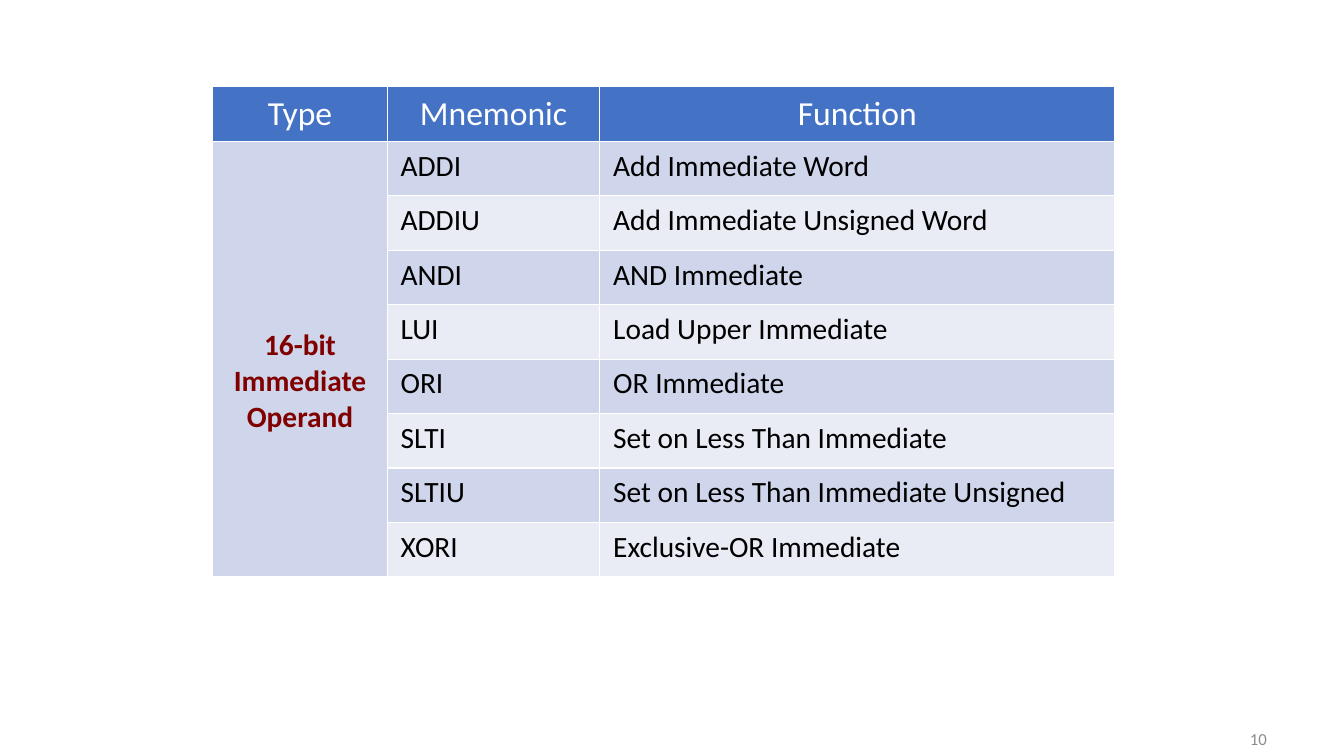
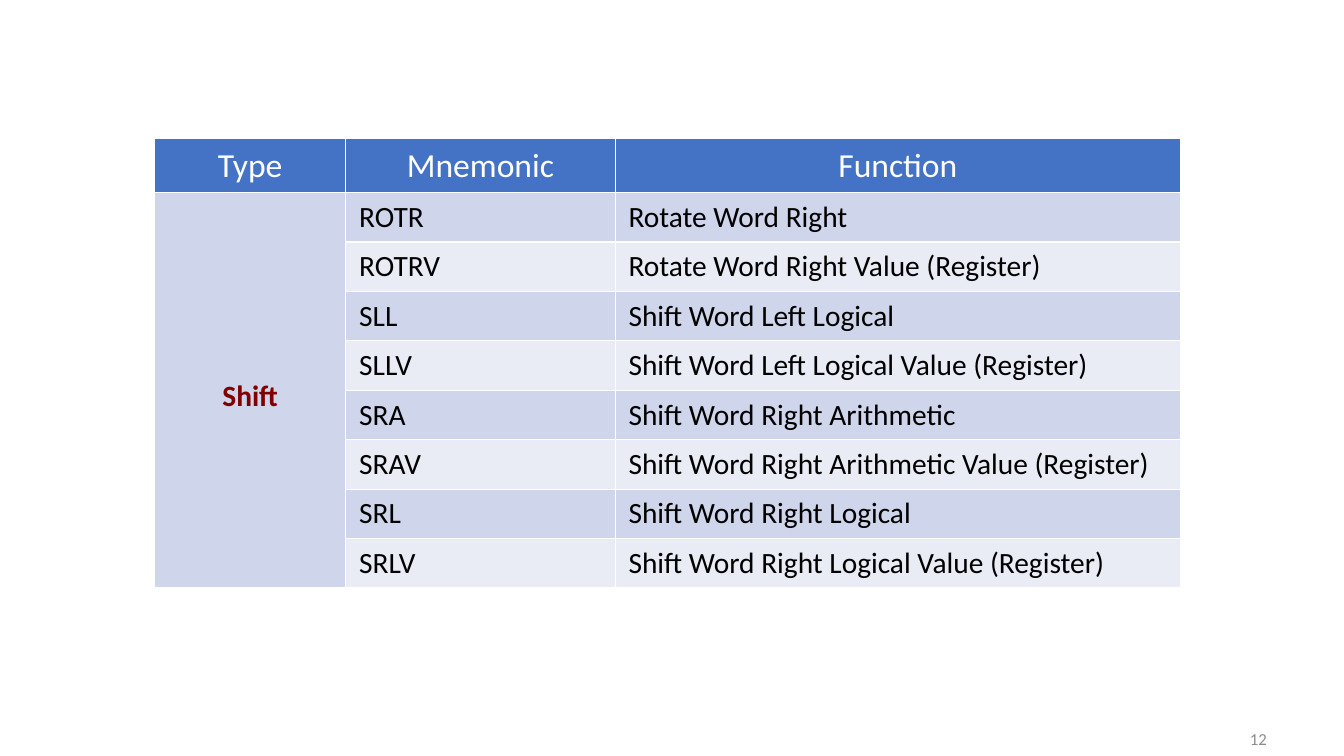
"""Build two slides with tables of immediate and shift instructions."""
from lxml.etree import SubElement
from pptx import Presentation
from pptx.dml.color import RGBColor
from pptx.enum.text import MSO_ANCHOR, PP_ALIGN
from pptx.oxml.ns import qn
from pptx.util import Pt

FONT = "Calibri"
COLORS = {
    "white": "FFFFFF",
    "black": "000000",
    "header": "4472C4",
    "band_dark": "CFD5EA",
    "band_light": "E9EBF5",
    "type": "800000",
    "number": "8C8C8C",
}
HEADERS = ("Type", "Mnemonic", "Function")
SLIDES = [
    {
        "number": "10",
        "type": "16-bit Immediate Operand",
        "position": (152, 62),
        "columns": (124.6, 151.9, 367.9),
        "row_heights": (39, 38.9),
        "instructions": [
            ("ADDI", "Add Immediate Word"),
            ("ADDIU", "Add Immediate Unsigned Word"),
            ("ANDI", "AND Immediate"),
            ("LUI", "Load Upper Immediate"),
            ("ORI", "OR Immediate"),
            ("SLTI", "Set on Less Than Immediate"),
            ("SLTIU", "Set on Less Than Immediate Unsigned"),
            ("XORI", "Exclusive-OR Immediate"),
        ],
    },
    {
        "number": "12",
        "type": "Shift",
        "position": (110.4, 99.2),
        "columns": (136.6, 192.4, 404),
        "row_heights": (38.4, 35.3),
        "instructions": [
            ("ROTR", "Rotate Word Right"),
            ("ROTRV", "Rotate Word Right Value (Register)"),
            ("SLL", "Shift Word Left Logical"),
            ("SLLV", "Shift Word Left Logical Value (Register)"),
            ("SRA", "Shift Word Right Arithmetic"),
            ("SRAV", "Shift Word Right Arithmetic Value (Register)"),
            ("SRL", "Shift Word Right Logical"),
            ("SRLV", "Shift Word Right Logical Value (Register)"),
        ],
    },
]
SIDE_MARGIN = 9.6
EDGE_MARGIN = 4.8
TYPE_MARGIN = 133


def color(name):
    return RGBColor.from_string(COLORS[name])


def write_text(frame, text, *, size=21, ink="black", bold=False, align=PP_ALIGN.LEFT):
    paragraph = frame.paragraphs[0]
    paragraph.alignment = align
    run = paragraph.add_run()
    run.text = text
    run.font.name = FONT
    run.font.size = Pt(size)
    run.font.bold = bold
    run.font.color.rgb = color(ink)


def add_borders(cell):
    properties = cell._tc.get_or_add_tcPr()
    for position, side in enumerate(("lnL", "lnR", "lnT", "lnB")):
        line = SubElement(properties, qn(f"a:{side}"), w=str(Pt(1)))
        fill = SubElement(line, qn("a:solidFill"))
        SubElement(fill, qn("a:srgbClr"), val=COLORS["white"])
        properties.insert(position, line)


def format_cell(cell, fill, top=EDGE_MARGIN):
    cell.margin_left = cell.margin_right = Pt(SIDE_MARGIN)
    cell.margin_top, cell.margin_bottom = Pt(top), Pt(EDGE_MARGIN)
    cell.vertical_anchor = MSO_ANCHOR.TOP
    cell.fill.solid()
    cell.fill.fore_color.rgb = color(fill)
    add_borders(cell)


def add_instruction_table(slide, content):
    instructions = content["instructions"]
    columns = content["columns"]
    header_height, body_height = content["row_heights"]
    left, top = content["position"]
    height = header_height + body_height * len(instructions)
    table = slide.shapes.add_table(
        len(instructions) + 1, len(HEADERS),
        Pt(left), Pt(top), Pt(sum(columns)), Pt(height),
    ).table
    for column, width in zip(table.columns, columns):
        column.width = Pt(width)
    for index, row in enumerate(table.rows):
        row.height = Pt(body_height if index else header_height)

    for index, header in enumerate(HEADERS):
        cell = table.cell(0, index)
        format_cell(cell, "header")
        write_text(cell.text_frame, header, size=24, ink="white", align=PP_ALIGN.CENTER)

    type_cell = table.cell(1, 0)
    type_cell.merge(table.cell(len(instructions), 0))
    format_cell(type_cell, "band_dark", top=TYPE_MARGIN)
    write_text(type_cell.text_frame, content["type"], ink="type", bold=True,
               align=PP_ALIGN.CENTER)

    for row, instruction in enumerate(instructions, start=1):
        for column, text in enumerate(instruction, start=1):
            cell = table.cell(row, column)
            format_cell(cell, "band_dark" if row % 2 else "band_light")
            write_text(cell.text_frame, text)


def add_slide_number(slide, number):
    box = slide.shapes.add_textbox(Pt(688), Pt(513.4), Pt(224), Pt(28.8))
    frame = box.text_frame
    frame.word_wrap = True
    frame.vertical_anchor = MSO_ANCHOR.MIDDLE
    write_text(frame, number, size=12, ink="number", align=PP_ALIGN.RIGHT)


def main():
    presentation = Presentation()
    presentation.slide_width, presentation.slide_height = Pt(960), Pt(540)
    blank_layout = presentation.slide_layouts[6]
    for content in SLIDES:
        slide = presentation.slides.add_slide(blank_layout)
        add_slide_number(slide, content["number"])
        add_instruction_table(slide, content)
    presentation.save("out.pptx")


if __name__ == "__main__":
    main()
